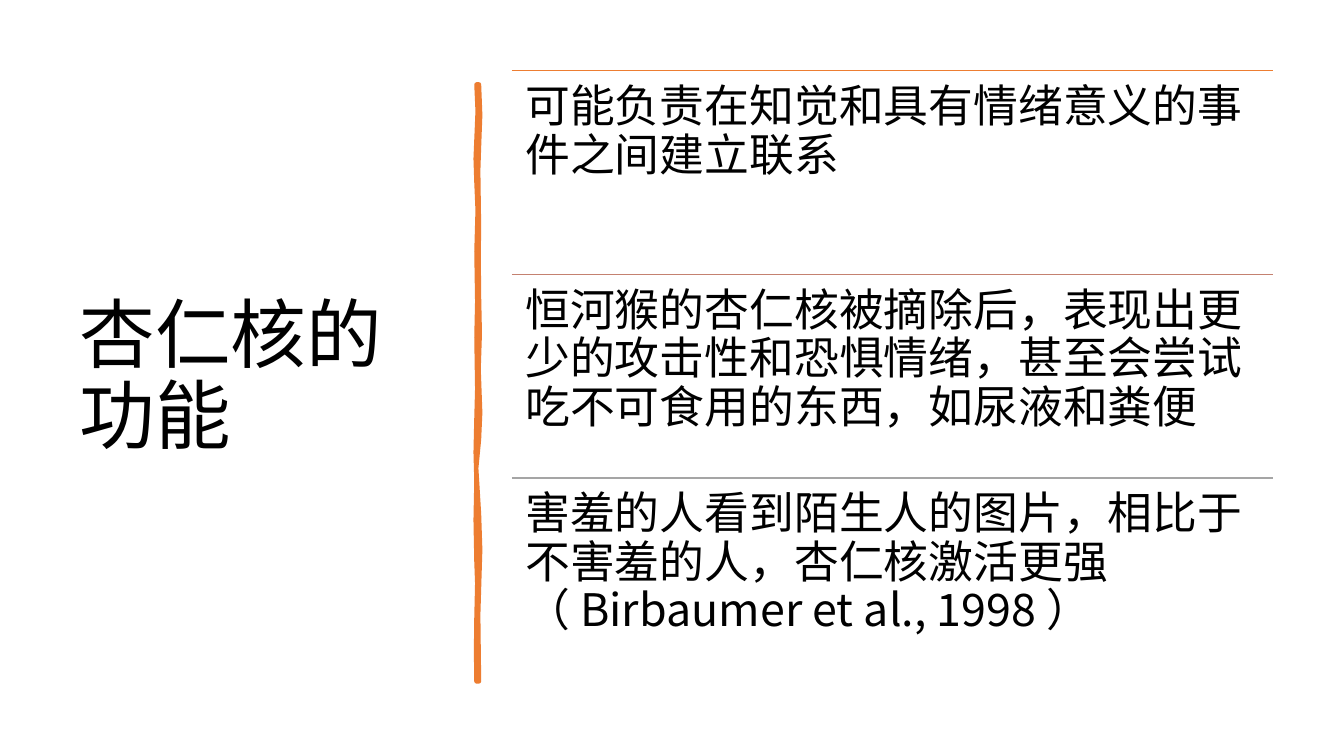
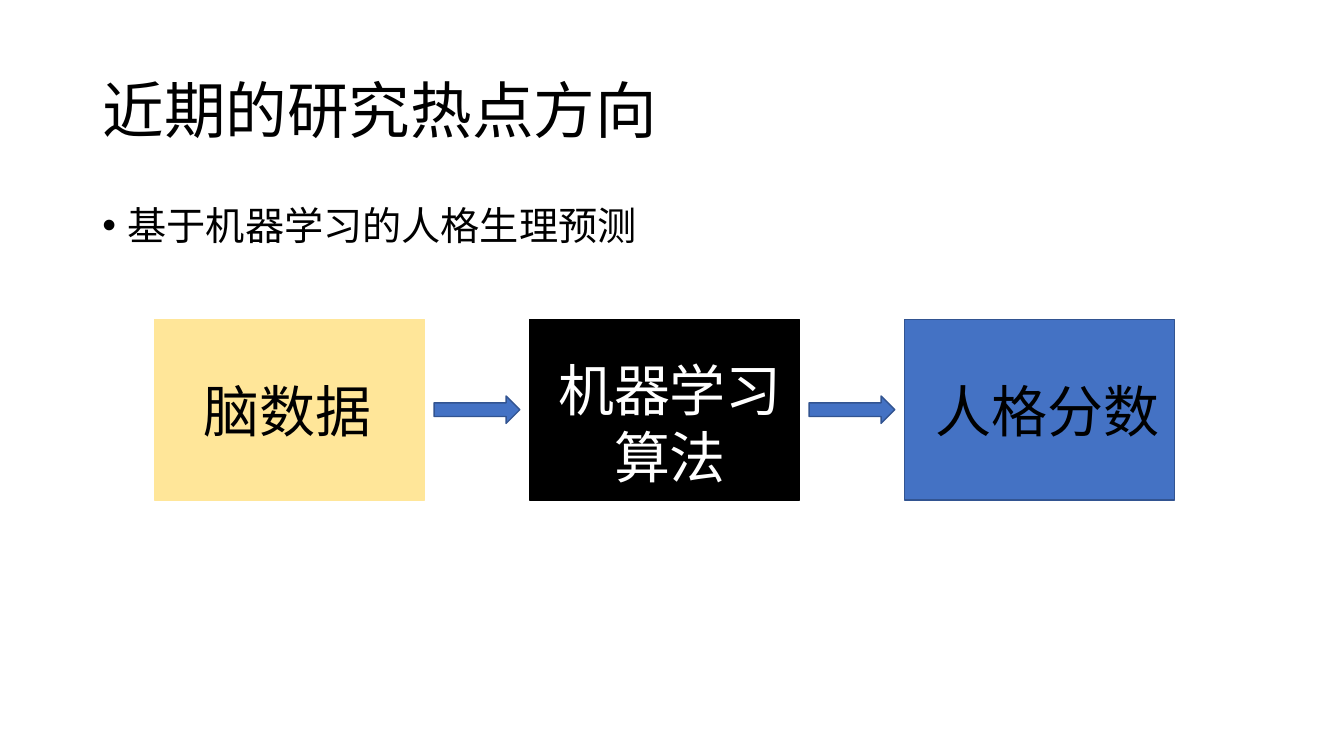
from dataclasses import dataclass

from lxml.etree import SubElement
from pptx import Presentation
from pptx.dml.color import RGBColor
from pptx.enum.shapes import MSO_CONNECTOR, MSO_SHAPE
from pptx.enum.text import MSO_ANCHOR, MSO_AUTO_SIZE, PP_ALIGN
from pptx.oxml.ns import qn
from pptx.shapes.autoshape import Shape
from pptx.slide import Slide
from pptx.text.text import TextFrame, _Paragraph as Paragraph
from pptx.util import Cm, Pt


@dataclass(frozen=True)
class Theme:
    font: str = "Noto Sans CJK SC"
    black: str = "000000"
    white: str = "FFFFFF"
    orange: str = "ED7D31"
    clay: str = "C48170"
    grey: str = "A5A5A5"
    yellow: str = "FFE699"
    blue: str = "4472C4"
    navy: str = "325491"
    tall_title: float = 54
    title: float = 44
    stage: float = 40
    finding: float = 32
    body: float = 28
    thin: float = 1
    brush: float = 3.25
    tight: float = 0.9


@dataclass(frozen=True)
class Box:
    left: float
    top: float
    width: float
    height: float


@dataclass(frozen=True)
class Finding:
    text: str
    rule: str


@dataclass(frozen=True)
class Stage:
    text: str
    fill: str
    line: str
    ink: str
    shift_x: float = 0
    shift_y: float = 0


THEME = Theme()

FINDINGS = (
    Finding("可能负责在知觉和具有情绪意义的事件之间建立联系", THEME.orange),
    Finding("恒河猴的杏仁核被摘除后，表现出更少的攻击性和恐惧情绪，"
            "甚至会尝试吃不可食用的东西，如尿液和粪便", THEME.clay),
    Finding("害羞的人看到陌生人的图片，相比于不害羞的人，杏仁核激活更强"
            "（ Birbaumer et al., 1998 ）", THEME.grey),
)
FINDING_AREA = Box(12.9, 1.78, 19.18, 5.13)

STAGES = (
    Stage("脑数据", THEME.yellow, THEME.yellow, THEME.black, shift_x=-0.06),
    Stage("机器学习算法", THEME.black, THEME.black, THEME.white, 0.14, 0.33),
    Stage("人格分数", THEME.blue, THEME.navy, THEME.black, shift_x=0.2),
)
FIRST_STAGE = Box(3.89, 8.05, 6.81, 4.55)
STAGE_STEP = 9.45
ARROW_WIDTH, ARROW_HEIGHT = 2.16, 0.69
STAGE_MARGIN = 0.25

BRUSH_RIGHT = (
    (12.07, 2.13), (12.1, 2.9), (12.07, 3.7), (12.05, 4.3), (12.07, 5.74),
    (12.06, 6.4), (12.07, 7.47), (12.09, 8.4), (12.06, 9.3), (12.1, 10.4),
    (12.07, 11.07), (12, 11.8), (12.07, 12.95), (12.1, 13.85),
    (12.07, 14.83), (12.05, 15.5), (12.07, 17.17),
)
BRUSH_LEFT = (
    (12.01, 17.17), (12, 16.4), (12.01, 15.57), (12.03, 14.7),
    (12.01, 14.15), (11.99, 13.1), (12.01, 12.12), (11.99, 11.4),
    (12.01, 10.54), (12.03, 9.8), (12.01, 8.5), (12.03, 7.6),
    (12.01, 6.35), (12.04, 5.3), (12.01, 4.6), (11.99, 4), (12.04, 2.8),
    (12.01, 2.13),
)


def rgb(code: str) -> RGBColor:
    return RGBColor.from_string(code)


def cm_box(box: Box) -> tuple[Cm, Cm, Cm, Cm]:
    return Cm(box.left), Cm(box.top), Cm(box.width), Cm(box.height)


def write(paragraph: Paragraph, text: str, size: float, ink: str) -> None:
    run = paragraph.add_run()
    run.text = text
    run.font.size = Pt(size)
    run.font.color.rgb = rgb(ink)
    run.font.name = THEME.font
    SubElement(run.font._element, qn("a:ea"), typeface=THEME.font)


def set_margins(frame: TextFrame, left: float, top: float, right: float, bottom: float) -> None:
    frame.margin_left, frame.margin_top = Cm(left), Cm(top)
    frame.margin_right, frame.margin_bottom = Cm(right), Cm(bottom)


def paint(shape: Shape, fill: str, line: str, weight: float = THEME.thin) -> None:
    shape.shadow.inherit = False
    shape.fill.solid()
    shape.fill.fore_color.rgb = rgb(fill)
    shape.line.color.rgb = rgb(line)
    shape.line.width = Pt(weight)


def add_title(slide: Slide, text: str, box: Box, size: float) -> None:
    title = slide.shapes.title
    title.left, title.top, title.width, title.height = cm_box(box)
    frame = title.text_frame
    frame.word_wrap = True
    frame.auto_size = MSO_AUTO_SIZE.NONE
    frame.vertical_anchor = MSO_ANCHOR.MIDDLE
    heading = frame.paragraphs[0]
    heading.alignment = PP_ALIGN.LEFT
    heading.line_spacing = THEME.tight
    write(heading, text, size, THEME.black)


def add_text_area(slide: Slide, box: Box) -> TextFrame:
    frame = slide.shapes.add_textbox(*cm_box(box)).text_frame
    frame.word_wrap = True
    frame.paragraphs[0].line_spacing = THEME.tight
    return frame


def add_brush_stroke(slide: Slide) -> None:
    start, *rest = [(Cm(x), Cm(y)) for x, y in BRUSH_RIGHT + BRUSH_LEFT]
    builder = slide.shapes.build_freeform(*start)
    builder.add_line_segments(rest, close=True)
    paint(builder.convert_to_shape(), THEME.orange, THEME.orange, THEME.brush)


def add_finding(slide: Slide, finding: Finding, box: Box) -> None:
    left, top, width, _ = cm_box(box)
    rule = slide.shapes.add_connector(MSO_CONNECTOR.STRAIGHT, left, top, left + width, top)
    rule.line.color.rgb = rgb(finding.rule)
    rule.line.width = Pt(THEME.thin)
    SubElement(rule._element.spPr, qn("a:effectLst"))
    frame = add_text_area(slide, box)
    set_margins(frame, 0.34, 0.34, 0.34, 0.34)
    write(frame.paragraphs[0], finding.text, THEME.finding, THEME.black)


def add_bullet(slide: Slide, text: str, box: Box) -> None:
    item = add_text_area(slide, box).paragraphs[0]
    properties = item._p.get_or_add_pPr()
    indent = Cm(0.64)
    properties.set("marL", str(indent))
    properties.set("indent", str(-indent))
    SubElement(properties, qn("a:buFont"), typeface="Arial")
    SubElement(properties, qn("a:buChar"), char="•")
    write(item, text, THEME.body, THEME.black)


def add_stage(slide: Slide, stage: Stage, box: Box) -> None:
    block = slide.shapes.add_shape(MSO_SHAPE.RECTANGLE, *cm_box(box))
    paint(block, stage.fill, stage.line)
    frame = block.text_frame
    frame.word_wrap = True
    frame.vertical_anchor = MSO_ANCHOR.MIDDLE
    set_margins(frame, STAGE_MARGIN + 2 * stage.shift_x, 2 * stage.shift_y, STAGE_MARGIN, 0)
    label = frame.paragraphs[0]
    label.alignment = PP_ALIGN.CENTER
    write(label, stage.text, THEME.stage, stage.ink)


def add_arrow_after(slide: Slide, box: Box) -> None:
    gap = STAGE_STEP - box.width
    arrow = Box(
        box.left + box.width + (gap - ARROW_WIDTH) / 2,
        box.top + (box.height - ARROW_HEIGHT) / 2,
        ARROW_WIDTH,
        ARROW_HEIGHT,
    )
    paint(slide.shapes.add_shape(MSO_SHAPE.RIGHT_ARROW, *cm_box(arrow)), THEME.blue, THEME.navy)


def build_function_slide(slide: Slide) -> None:
    add_title(slide, "杏仁核的功能", Box(1.75, 1.78, 9.5, 15.52), THEME.tall_title)
    add_brush_stroke(slide)
    area = FINDING_AREA
    for row, finding in enumerate(FINDINGS):
        top = area.top + row * area.height
        add_finding(slide, finding, Box(area.left, top, area.width, area.height))


def build_research_slide(slide: Slide) -> None:
    add_title(slide, "近期的研究热点方向", Box(2.33, 1.02, 29.21, 3.68), THEME.title)
    add_bullet(slide, "基于机器学习的人格生理预测", Box(2.33, 5.08, 29.21, 2))
    first = FIRST_STAGE
    for column, stage in enumerate(STAGES):
        box = Box(first.left + column * STAGE_STEP, first.top, first.width, first.height)
        add_stage(slide, stage, box)
        if column < len(STAGES) - 1:
            add_arrow_after(slide, box)


def main() -> None:
    """Build the two slides on the amygdala and personality prediction."""
    deck = Presentation()
    deck.slide_width, deck.slide_height = Cm(33.87), Cm(19.05)
    title_only = deck.slide_layouts[5]
    for build in (build_function_slide, build_research_slide):
        build(deck.slides.add_slide(title_only))
    deck.save("out.pptx")


if __name__ == "__main__":
    main()
